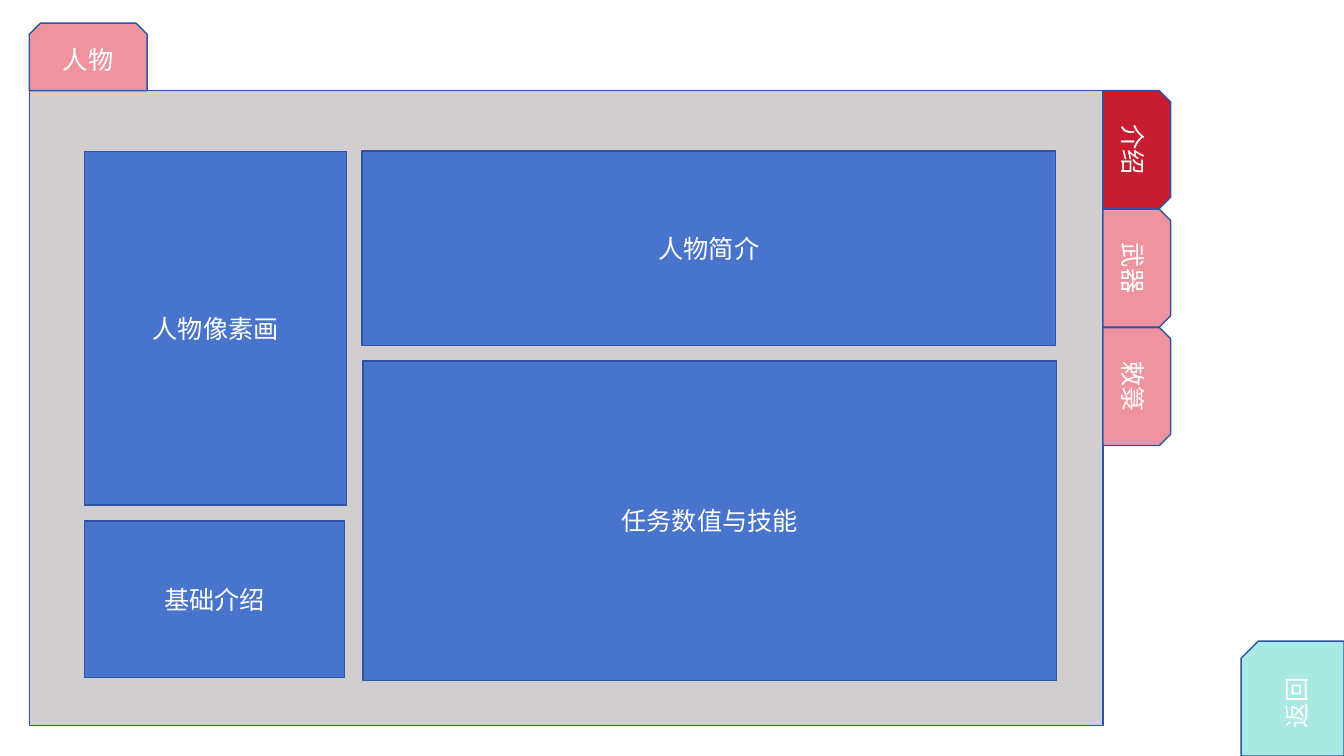
"""Build a character screen wireframe with tabs, content panels and a back button."""
from pptx import Presentation
from pptx.dml.color import RGBColor
from pptx.enum.shapes import MSO_SHAPE as SHAPE
from pptx.enum.text import MSO_ANCHOR as ANCHOR, PP_ALIGN as ALIGN
from pptx.util import Inches, Pt

PINK, RED, MINT = "EF949E", "C81D31", "A9E9E4"
BLUE, GRAY, OUTLINE, WHITE = "4874CB", "D0CECE", "2E54A1", "FFFFFF"

FRAME = (0.29, 0.9, 10.65, 6.3)
TAB_WIDTH, TAB_HEIGHT = 1.17, 0.67
TAB_PITCH = 1.175
SIDE_TABS = [("介绍", RED), ("武器", PINK), ("敕箓", PINK)]
PANELS = [
    ("人物像素画", (0.84, 1.5, 2.6, 3.51)),
    ("人物简介", (3.59, 1.5, 6.88, 1.93)),
    ("任务数值与技能", (3.6, 3.58, 6.88, 3.17)),
    ("基础介绍", (0.84, 5.17, 2.58, 1.55)),
]
BACK_BUTTON = ("返回", (12.25, 6.42, 1.14, 1.02))


def color(value):
    return RGBColor.from_string(value)


def write_text(shape, text, size=18, font="Arial", ink=WHITE):
    frame = shape.text_frame
    frame.word_wrap = True
    frame.vertical_anchor = ANCHOR.MIDDLE
    paragraph = frame.paragraphs[0]
    paragraph.alignment = ALIGN.CENTER
    run = paragraph.add_run()
    run.text = text
    run.font.size = Pt(size)
    run.font.name = font
    run.font.color.rgb = color(ink)


def add_box(slide, box, fill, text="", kind=SHAPE.RECTANGLE, rotation=0):
    shape = slide.shapes.add_shape(kind, *map(Inches, box))
    shape.shadow.inherit = False
    shape.rotation = rotation
    shape.fill.solid()
    shape.fill.fore_color.rgb = color(fill)
    shape.line.color.rgb = color(OUTLINE)
    shape.line.width = Pt(1)
    if text:
        write_text(shape, text)


def main():
    presentation = Presentation()
    presentation.slide_width = Inches(13.33)
    presentation.slide_height = Inches(7.5)
    slide = presentation.slides.add_slide(presentation.slide_layouts[6])

    left, top, width, height = FRAME
    add_box(slide, FRAME, GRAY)
    add_box(slide, (left, top - TAB_HEIGHT, TAB_WIDTH, TAB_HEIGHT), PINK, "人物",
            kind=SHAPE.SNIP_2_SAME_RECTANGLE)

    turn_shift = (TAB_WIDTH - TAB_HEIGHT) / 2
    for index, (text, fill) in enumerate(SIDE_TABS):
        box = (left + width - turn_shift, top + turn_shift + index * TAB_PITCH,
               TAB_WIDTH, TAB_HEIGHT)
        add_box(slide, box, fill, text, kind=SHAPE.SNIP_2_SAME_RECTANGLE, rotation=90)

    text, box = BACK_BUTTON
    add_box(slide, box, MINT, text, kind=SHAPE.SNIP_1_RECTANGLE, rotation=270)
    for text, box in PANELS:
        add_box(slide, box, BLUE, text)

    presentation.save("out.pptx")


if __name__ == "__main__":
    main()
